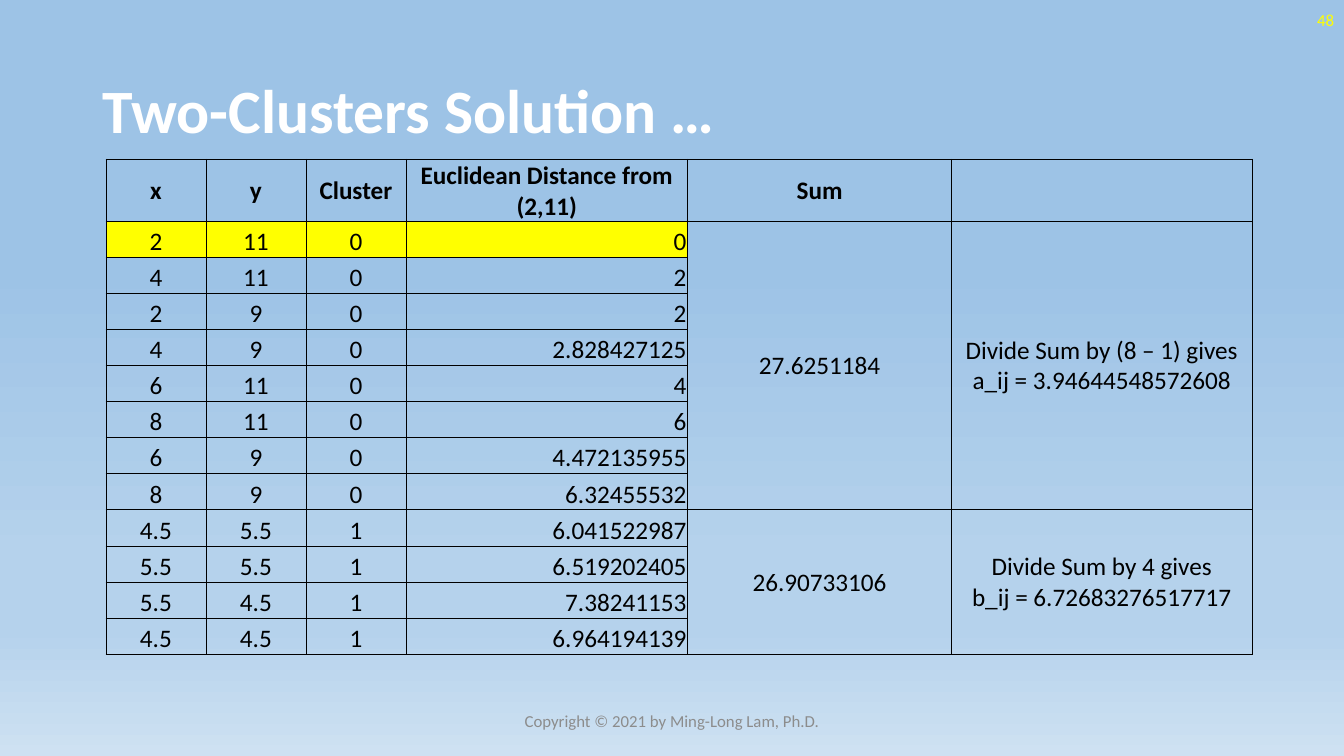
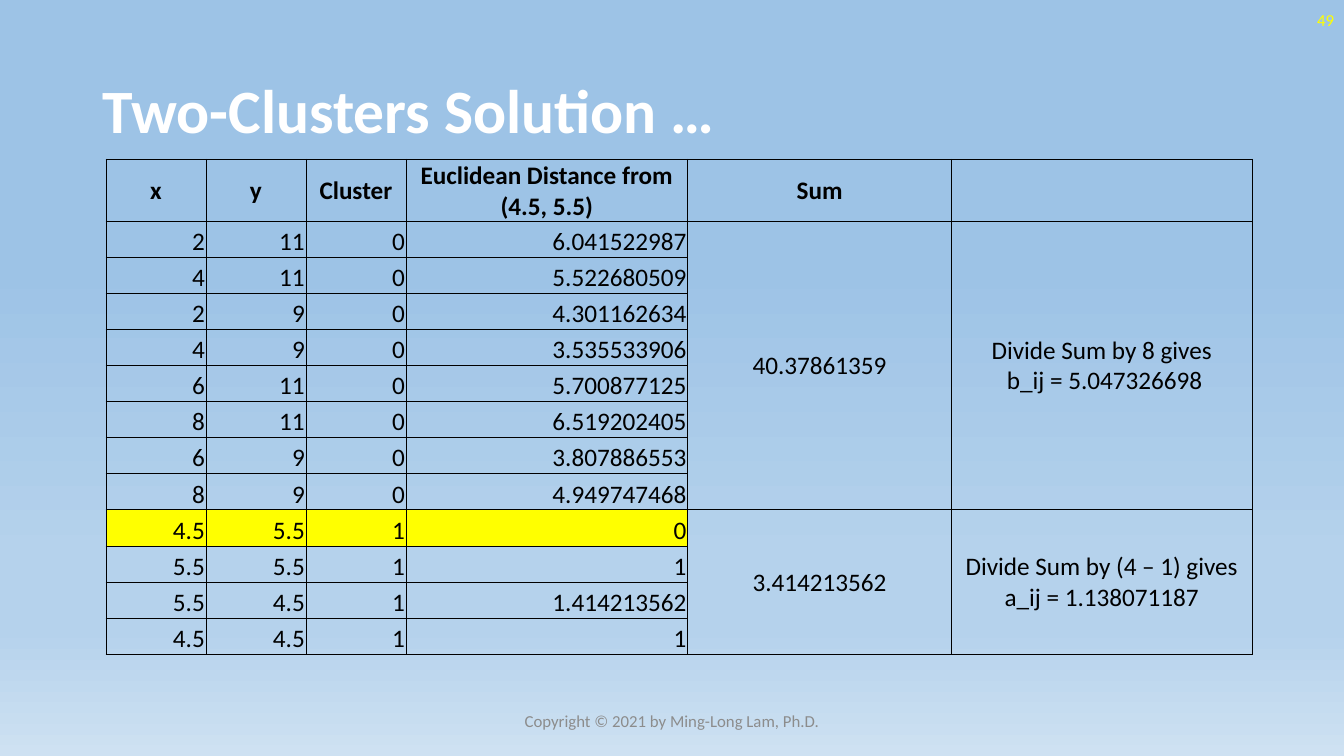
"""Build two slides of cluster distance tables."""
from dataclasses import dataclass

from lxml import etree
from pptx import Presentation
from pptx.dml.color import RGBColor
from pptx.enum import text as t
from pptx.oxml import ns
from pptx.util import Cm, Pt

TITLE = "Two-Clusters Solution …"
CREDIT = "Copyright © 2021 by Ming-Long Lam, Ph.D."
POINTS = [
    ("2", "11", "0"), ("4", "11", "0"), ("2", "9", "0"), ("4", "9", "0"),
    ("6", "11", "0"), ("8", "11", "0"), ("6", "9", "0"), ("8", "9", "0"),
    ("4.5", "5.5", "1"), ("5.5", "5.5", "1"),
    ("5.5", "4.5", "1"), ("4.5", "4.5", "1"),
]
GROUPS = [(1, 8), (9, 12)]
LEFT, MID, RIGHT = t.PP_ALIGN.LEFT, t.PP_ALIGN.CENTER, t.PP_ALIGN.RIGHT
SLIDES = [
    dict(
        page="48", base="(2,11)", mark=1, align=MID,
        far=["0", "2", "2", "2.828427125", "4", "6", "4.472135955",
             "6.32455532", "6.041522987", "6.519202405", "7.38241153",
             "6.964194139"],
        sums=[("27.6251184",
               "Divide Sum by (8 – 1) gives a_ij = 3.94644548572608"),
              ("26.90733106",
               "Divide Sum by 4 gives\nb_ij = 6.72683276517717")],
    ),
    dict(
        page="49", base="(4.5, 5.5)", mark=9, align=RIGHT,
        far=["6.041522987", "5.522680509", "4.301162634", "3.535533906",
             "5.700877125", "6.519202405", "3.807886553", "4.949747468",
             "0", "1", "1.414213562", "1"],
        sums=[("40.37861359", "Divide Sum by 8 gives\v b_ij = 5.047326698"),
              ("3.414213562",
               "Divide Sum by (4 – 1) gives\na_ij = 1.138071187")],
    ),
]


@dataclass(frozen=True)
class Theme:
    """Colours, type sizes and font."""
    font: str = "Calibri"
    white: str = "FFFFFF"
    black: str = "000000"
    yellow: str = "FFFF00"
    grey: str = "8C8C8C"
    sky: tuple = ((35, "9DC3E6"), (74, "B5D2EC"), (83, "B5D2EC"),
                  (100, "CEE1F2"))
    head: int = 44
    body: int = 18
    small: int = 12
    rule: float = 0.5


LOOK = Theme()
WIDE, HIGH = 33.87, 19.05
TITLE_AT = (2.33, 1.02, 29.21, 3.68)
PAGE_AT = (26.25, 0, 7.62, 1.02)
CREDIT_AT = (11.22, 17.65, 11.43, 1.02)
TABLE_AT = (2.67, 4.01)
COLS = (2.52, 2.52, 2.52, 7.1, 6.65, 7.57)
TOP_ROW, ROW = 1.55, 0.91


def put(text, frame, size=LOOK.body, color=LOOK.black, bold=False,
        align=MID, space=None):
    """Write text into a frame in one format."""
    frame.text = text
    for para in frame.paragraphs:
        para.alignment = align
        if space:
            para.line_spacing = space
        for run in para.runs:
            font = run.font
            font.name, font.size, font.bold = LOOK.font, Pt(size), bold
            font.color.rgb = RGBColor.from_string(color)


def node(root, tag, **attrs):
    """Add a drawing element below another."""
    return etree.SubElement(root, ns.qn("a:" + tag), attrs)


def paint(master):
    """Give the master its gradient background."""
    fill = master.background.fill
    fill.gradient()
    fill.gradient_angle = 270
    stops = master.element.find(".//" + ns.qn("a:gsLst"))
    for stop in list(stops):
        stops.remove(stop)
    for pos, color in LOOK.sky:
        stop = node(stops, "gs", pos=str(pos * 1000))
        node(stop, "srgbClr", val=color)


def label(slide, text, place, **form):
    """Add a small line of text centred in its height."""
    box = slide.shapes.add_textbox(*map(Cm, place))
    frame = box.text_frame
    frame.word_wrap = True
    frame.vertical_anchor = t.MSO_ANCHOR.MIDDLE
    put(text, frame, size=LOOK.small, **form)


def edge(cell):
    """Draw thin rules on the four sides of a cell."""
    props = cell._tc.get_or_add_tcPr()
    for i, side in enumerate("LRTB"):
        line = node(props, "ln" + side, w=str(Pt(LOOK.rule)))
        node(node(line, "solidFill"), "srgbClr", val=LOOK.black)
        props.insert(i, line)


def dress(cell, text, lit=False, low=False, **form):
    """Fill one cell with text, margins, colour and rules."""
    cell.margin_left = cell.margin_right = cell.margin_top = Cm(0.03)
    cell.margin_bottom = 0
    cell.vertical_anchor = t.MSO_ANCHOR.BOTTOM if low else t.MSO_ANCHOR.MIDDLE
    if lit:
        cell.fill.solid()
        cell.fill.fore_color.rgb = RGBColor.from_string(LOOK.yellow)
    else:
        cell.fill.background()
    put(text, cell.text_frame, **form)
    edge(cell)


def grid(slide, data):
    """Add the distance table."""
    count = len(POINTS) + 1
    size = (sum(COLS), TOP_ROW + ROW * len(POINTS))
    frame = slide.shapes.add_table(count, len(COLS),
                                   *map(Cm, TABLE_AT + size))
    table = frame.table
    table.first_row = table.horz_banding = False
    for col, width in zip(table.columns, COLS):
        col.width = Cm(width)
    for i, row in enumerate(table.rows):
        row.height = Cm(ROW if i else TOP_ROW)
    heads = ("x", "y", "Cluster", "Euclidean Distance from " + data["base"],
             "Sum", "")
    for j, head in enumerate(heads):
        dress(table.cell(0, j), head, bold=True)
    notes = {first: pair for (first, _), pair in zip(GROUPS, data["sums"])}
    for i, (point, far) in enumerate(zip(POINTS, data["far"]), 1):
        for j, value in enumerate(point + (far,)):
            dress(table.cell(i, j), value, lit=i == data["mark"], low=True,
                  align=data["align"] if j < 3 else RIGHT)
        for j, value in enumerate(notes.get(i, ("", "")), 4):
            dress(table.cell(i, j), value)
    for first, last in GROUPS:
        for j in (4, 5):
            table.cell(first, j).merge(table.cell(last, j))


def build(deck, data):
    """Add one slide."""
    slide = deck.slides.add_slide(deck.slide_layouts[5])
    title = slide.shapes.title
    title.left, title.top, title.width, title.height = map(Cm, TITLE_AT)
    frame = title.text_frame
    frame.auto_size = t.MSO_AUTO_SIZE.NONE
    frame.vertical_anchor = t.MSO_ANCHOR.MIDDLE
    put(TITLE, frame, size=LOOK.head, color=LOOK.white, bold=True,
        align=LEFT, space=0.9)
    label(slide, data["page"], PAGE_AT, color=LOOK.yellow, align=RIGHT)
    grid(slide, data)
    label(slide, CREDIT, CREDIT_AT, color=LOOK.grey)


deck = Presentation()
deck.slide_width, deck.slide_height = Cm(WIDE), Cm(HIGH)
paint(deck.slide_master)
for data in SLIDES:
    build(deck, data)
deck.save("out.pptx")
